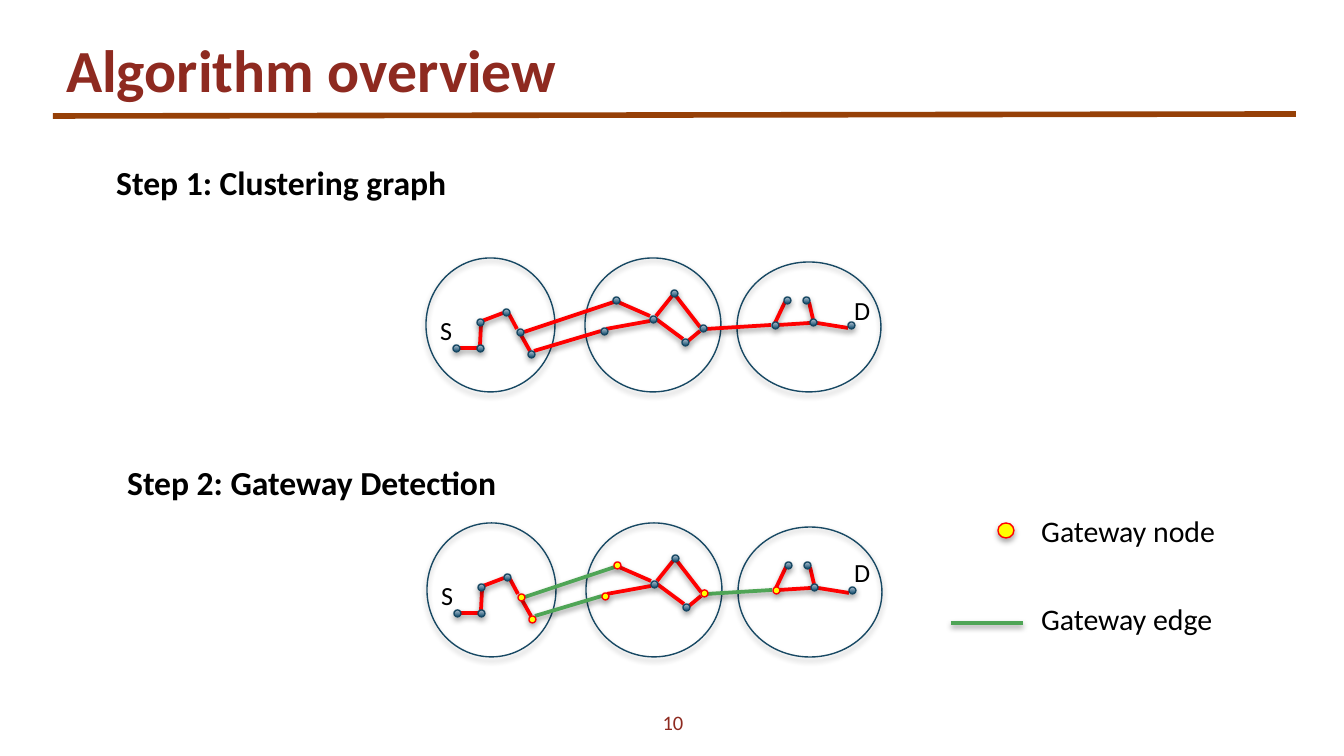
from lxml import etree
from pptx import Presentation
from pptx.dml.color import RGBColor
from pptx.enum.shapes import MSO_CONNECTOR, MSO_SHAPE
from pptx.enum.text import MSO_ANCHOR, PP_ALIGN
from pptx.oxml.ns import qn
from pptx.util import Pt

STRAIGHT = MSO_CONNECTOR.STRAIGHT
OVAL = MSO_SHAPE.OVAL
TOP, MIDDLE, BOTTOM = MSO_ANCHOR.TOP, MSO_ANCHOR.MIDDLE, MSO_ANCHOR.BOTTOM
LEFT, CENTER = PP_ALIGN.LEFT, PP_ALIGN.CENTER

BLACK = RGBColor(0x00, 0x00, 0x00)
MAROON = RGBColor(0x8E, 0x2A, 0x20)
BROWN = RGBColor(0x96, 0x40, 0x07)
NAVY = RGBColor(0x17, 0x48, 0x63)
NODE_DARK = RGBColor(0x0E, 0x4C, 0x6E)
NODE_LIGHT = RGBColor(0xB2, 0xC1, 0xD0)
RED = RGBColor(0xFF, 0x00, 0x00)
YELLOW = RGBColor(0xFF, 0xFF, 0x00)
GREEN = RGBColor(0x4F, 0xA5, 0x56)

FONT = "Calibri"
EMU_PER_PIXEL = 914400 / 134.4
NODE_SIZE = 7

CLUSTERS = [(426, 258, 129, 134), (585, 258, 136, 134), (737, 262, 144, 130)]
INNER_NODES = [
    (503, 309), (477, 345), (453, 345), (477, 319), (671, 290), (650, 316),
    (682, 339), (803, 297), (784, 297), (810, 319), (848, 322),
]
BORDER_NODES = [(517, 329), (528, 351), (613, 297), (601, 328), (700, 325), (772, 322)]
INNER_EDGES = [
    (480, 345, 481, 325), (482, 321, 503, 313), (509, 314, 517, 329),
    (460, 348, 477, 348), (656, 316, 672, 296), (618, 302, 650, 316),
    (676, 296, 700, 327), (521, 335, 530, 351), (606, 329, 650, 321),
    (656, 319, 683, 339), (688, 341, 700, 331), (775, 323, 785, 302),
    (778, 325, 810, 323), (817, 323, 848, 328), (813, 319, 809, 302),
]
BORDER_EDGES = [(524, 332, 614, 302), (534, 351, 601, 331), (706, 329, 771, 325)]


def px(*values):
    return [round(value * EMU_PER_PIXEL) for value in values]


def set_shadow(shape, distance=0, opacity=0):
    effects = etree.SubElement(shape._element.spPr, qn("a:effectLst"))
    if distance:
        shadow = etree.SubElement(
            effects, qn("a:outerShdw"), blurRad=str(Pt(3.1)),
            dist=str(Pt(distance)), dir="5400000", rotWithShape="0")
        color = etree.SubElement(shadow, qn("a:srgbClr"), val=str(BLACK))
        etree.SubElement(color, qn("a:alpha"), val=str(opacity * 1000))


def add_text(page, text, box, size, color=BLACK, bold=False, align=LEFT,
             anchor=TOP, margin=6):
    frame = page.shapes.add_textbox(*px(*box)).text_frame
    frame.word_wrap = True
    frame.vertical_anchor = anchor
    frame.margin_top = frame.margin_bottom = px(margin)[0]
    para = frame.paragraphs[0]
    para.text = text
    para.alignment = align
    para.font.name = FONT
    para.font.size = Pt(size)
    para.font.bold = bold
    para.font.color.rgb = color


def add_line(page, ends, color, width):
    line = page.shapes.add_connector(STRAIGHT, *px(*ends))
    line.line.color.rgb = color
    line.line.width = Pt(width)
    return line


def add_edge(page, ends, color):
    set_shadow(add_line(page, ends, color, 2), 1.6, 38)


def add_circle(page, box, outline):
    circle = page.shapes.add_shape(OVAL, *px(*box))
    circle.line.color.rgb = outline
    circle.line.width = Pt(0.75)
    return circle


def add_cluster(page, box):
    circle = add_circle(page, box, NAVY)
    circle.fill.background()
    set_shadow(circle, 1.8, 35)


def add_inner_node(page, box):
    circle = add_circle(page, box, NAVY)
    circle.fill.gradient()
    circle.fill.gradient_angle = 90
    for stop, color in zip(circle.fill.gradient_stops, (NODE_DARK, NODE_LIGHT)):
        stop.color.rgb = color
    set_shadow(circle, 1.8, 35)


def add_gateway_node(page, box):
    circle = add_circle(page, box, RED)
    circle.fill.solid()
    circle.fill.fore_color.rgb = YELLOW
    set_shadow(circle, 1.8, 35)


def add_graph(page, dx, dy, target_top, add_border_node, border_color):
    for left, top, width, height in CLUSTERS:
        add_cluster(page, (left + dx, top + dy, width, height))
    for edges, color in ((INNER_EDGES, RED), (BORDER_EDGES, border_color)):
        for x1, y1, x2, y2 in edges:
            add_edge(page, (x1 + dx, y1 + dy, x2 + dx, y2 + dy), color)
    for nodes, add_node in ((INNER_NODES, add_inner_node), (BORDER_NODES, add_border_node)):
        for left, top in nodes:
            add_node(page, (left + dx, top + dy, NODE_SIZE, NODE_SIZE))
    add_text(page, "S", (427 + dx, 308 + dy, 43, 46), 14)
    add_text(page, "D", (841, target_top, 43, 46), 14)


def add_legend(page):
    add_gateway_node(page, (998, 523, 16, 15))
    add_text(page, "Gateway node", (1028, 507, 204, 50), 16)
    add_edge(page, (951, 623, 1023, 623), GREEN)
    add_text(page, "Gateway edge", (1028, 595, 218, 50), 16)


def main():
    deck = Presentation()
    deck.slide_width, deck.slide_height = px(1344, 756)
    page = deck.slides.add_slide(deck.slide_layouts[6])

    set_shadow(add_line(page, (53, 116, 1296, 114), BROWN, 3))
    add_text(page, "Algorithm overview", (53, 20, 1003, 85), 32, MAROON, True,
             anchor=BOTTOM, margin=0)
    add_text(page, "10", (605, 702, 136, 40), 11, MAROON, align=CENTER, anchor=MIDDLE)

    add_text(page, "Step 1: Clustering graph", (103, 156, 1093, 54), 18, bold=True)
    add_graph(page, 0, 0, 288, add_inner_node, RED)
    add_text(page, "Step 2: Gateway Detection", (114, 456, 1102, 95), 18, bold=True)
    add_graph(page, 1, 265, 550, add_gateway_node, GREEN)
    add_legend(page)

    deck.save("out.pptx")


main()
